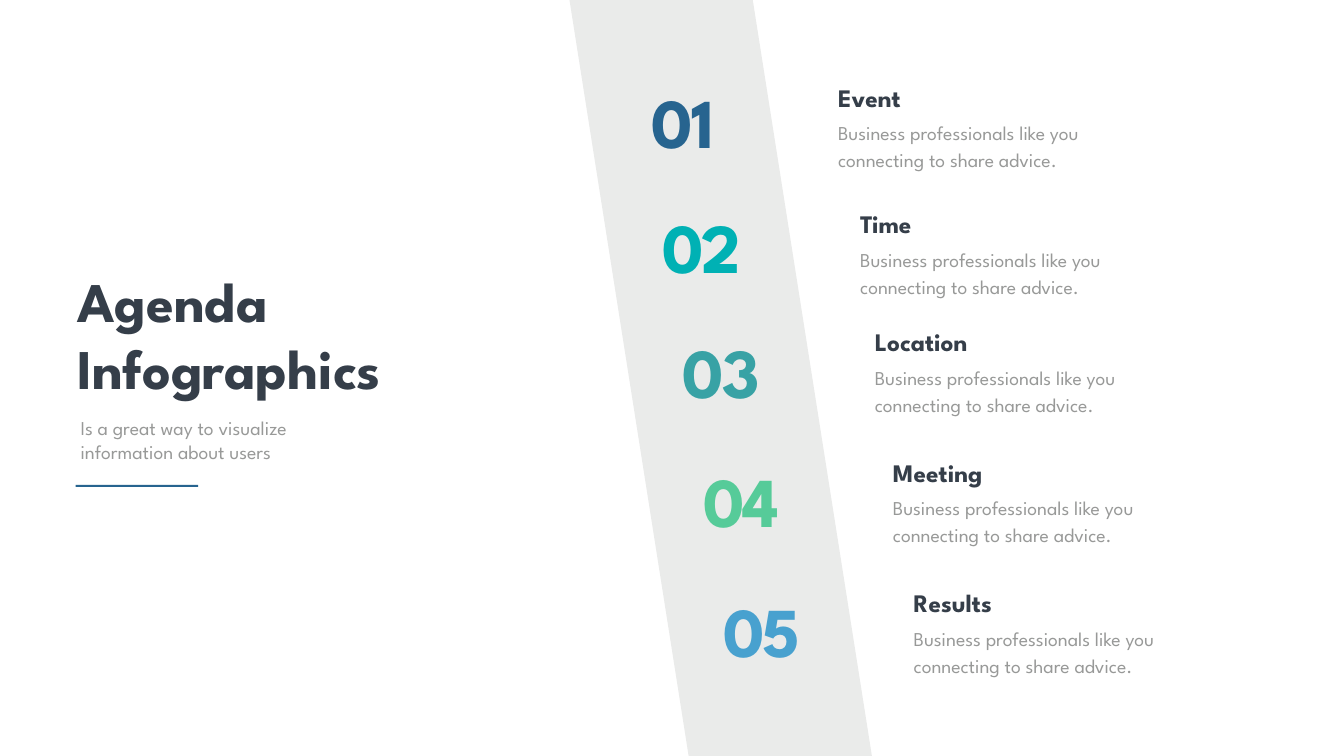
"""Build the agenda slide with a slanted band of five numbered items."""
from dataclasses import dataclass

from pptx import Presentation
from pptx.dml.color import RGBColor
from pptx.enum import shapes, text
from pptx.util import Pt

FONT = "League Spartan"
COLORS = {
    "band": "EAEBEA", "dark": "353E49", "gray": "989998", "navy": "27648F",
    "turquoise": "00B1B4", "teal": "38A2A5", "green": "56CB99", "blue": "48A1CF",
}
DESCRIPTION = "Business professionals like you connecting to share advice."


@dataclass
class Box:
    left: float
    top: float
    width: float
    height: float

    def lengths(self) -> list:
        return [Pt(value) for value in (self.left, self.top, self.width, self.height)]


@dataclass
class Style:
    size: float
    color: str
    bold: bool = False
    centered: bool = False
    line_spacing: float | None = None
    tracking: float | None = None
    grow: bool = False


@dataclass
class AgendaItem:
    heading: str
    color: str
    number_left: float
    number_top: float
    text_left: float
    text_top: float


TITLE = Style(80, "dark", bold=True, grow=True)
SUBTITLE = Style(28, "gray", grow=True)
HEADING = Style(36, "dark", bold=True)
BODY = Style(28, "gray", line_spacing=38.6)

ITEMS = [
    AgendaItem("Event", "navy", 837.4, 108.7, 1190.2, 113.5),
    AgendaItem("Time", "turquoise", 864.7, 287.3, 1221.8, 294.5),
    AgendaItem("Location", "teal", 892.1, 465.1, 1242.7, 463),
    AgendaItem("Meeting", "green", 920.9, 649.4, 1268.6, 649.2),
    AgendaItem("Results", "blue", 950.4, 835.9, 1298.2, 835.6),
]


def rgb(name: str) -> RGBColor:
    return RGBColor.from_string(COLORS[name])


def add_text(parent, box: Box, lines: list[str], style: Style) -> None:
    frame = parent.shapes.add_textbox(*box.lengths()).text_frame
    frame.word_wrap = True
    if style.grow:
        frame.auto_size = text.MSO_AUTO_SIZE.SHAPE_TO_FIT_TEXT
    frame.text = "\n".join(lines)
    for paragraph in frame.paragraphs:
        paragraph.font.name = FONT
        paragraph.font.size = Pt(style.size)
        paragraph.font.bold = style.bold
        paragraph.font.color.rgb = rgb(style.color)
        if style.centered:
            paragraph.alignment = text.PP_ALIGN.CENTER
        if style.line_spacing:
            paragraph.line_spacing = Pt(style.line_spacing)
        if style.tracking:
            for run in paragraph.runs:
                run.font._element.set("spc", str(round(style.tracking * 100)))


def add_filled(parent, kind: shapes.MSO_SHAPE, box: Box, color: str):
    shape = parent.shapes.add_shape(kind, *box.lengths())
    shape.shadow.inherit = False
    shape.fill.solid()
    shape.fill.fore_color.rgb = rgb(color)
    shape.line.fill.background()
    return shape


def add_item(slide, number: int, item: AgendaItem) -> None:
    number_style = Style(100, item.color, bold=True, centered=True, tracking=-3)
    add_text(slide, Box(item.number_left, item.number_top, 276.5, 128.2),
             [f"{number:02}"], number_style)
    add_text(slide, Box(item.text_left, item.text_top + 51, 432, 82.8),
             [DESCRIPTION], BODY)
    add_text(slide, Box(item.text_left, item.text_top, 352, 51),
             [item.heading], HEADING)


def main() -> None:
    presentation = Presentation()
    presentation.slide_width, presentation.slide_height = Pt(1920), Pt(1080)
    slide = presentation.slides.add_slide(presentation.slide_layouts[6])

    band = add_filled(slide, shapes.MSO_SHAPE.PARALLELOGRAM,
                      Box(813.6, 0, 432, 1080), "band")
    band.adjustments[0] = 0.394
    band._element.spPr.xfrm.set("flipH", "1")

    title_group = slide.shapes.add_group_shape()
    add_text(title_group, Box(103, 376.6, 499.7, 200.9),
             ["Agenda", "Infographics"], TITLE)
    add_filled(title_group, shapes.MSO_SHAPE.RECTANGLE,
               Box(108, 692.6, 175, 2.9), "navy")
    add_text(title_group, Box(108, 591.1, 376.6, 74.9),
             ["Is a great way to visualize information about users"], SUBTITLE)

    for number, item in enumerate(ITEMS, start=1):
        add_item(slide, number, item)

    presentation.save("out.pptx")


if __name__ == "__main__":
    main()
